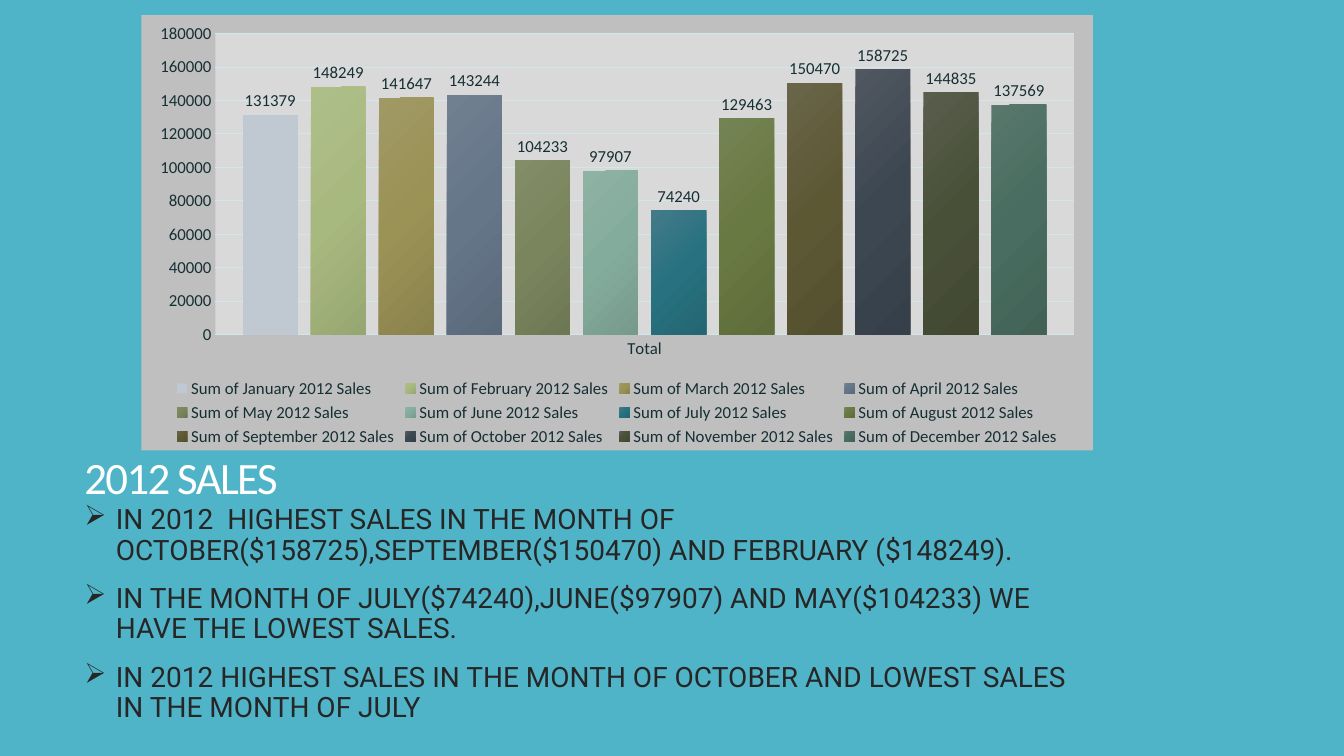
"""Builds the 2012 sales slide: a column chart of monthly sales, a title and three findings."""
from pptx import Presentation, util as u
from pptx.chart import data as chart_data
from pptx.dml.color import RGBColor
from pptx.enum import chart as ch, text
from pptx.oxml import parse_xml
from pptx.oxml.ns import nsdecls

TITLE = "2012 SALES"
FINDINGS = [
    "IN 2012  HIGHEST SALES IN THE MONTH OF OCTOBER($158725),SEPTEMBER($150470) AND FEBRUARY ($148249).",
    "IN THE MONTH OF JULY($74240),JUNE($97907) AND MAY($104233) WE HAVE THE LOWEST SALES.",
    "IN 2012 HIGHEST SALES IN THE MONTH OF OCTOBER AND LOWEST SALES IN THE MONTH OF JULY",
]
MONTHS = [
    ("January", 131379, ["C0C8D1"]),
    ("February", 148249, ["AEBE89", "A8B97F", "97A772"]),
    ("March", 141647, ["A19965", "9B9256", "8B834D"]),
    ("April", 143244, ["718091", "657689", "5B6A7B"]),
    ("May", 104233, ["838E69", "7A855D", "6E7754"]),
    ("June", 97907, ["8EB2A4", "84AC9D", "769B8D"]),
    ("July", 74240, ["437B89", "287180", "246673"]),
    ("August", 129463, ["748354", "697942", "5E6D3B"]),
    ("September", 150470, ["696549", "5D5834", "544F2E"]),
    ("October", 158725, ["505760", "3D4752", "36404A"]),
    ("November", 144835, ["595E4C", "495038", "424832"]),
    ("December", 137569, ["59776C", "496D60", "426256"]),
]
PLACES = {
    "title": (1.88, 11.35, 29.95, 2.67),
    "findings": (1.88, 12.62, 25.63, 5.26),
    "chart": (3.56, 0.38, 23.98, 10.97),
}
BACKGROUND = RGBColor(0x50, 0xB4, 0xC8)
WHITE = RGBColor(0xFF, 0xFF, 0xFF)
CHARCOAL = RGBColor(0x26, 0x26, 0x26)
DARK_TEAL = RGBColor(0x16, 0x2F, 0x33)
PALE_TEAL = RGBColor(0xD1, 0xE8, 0xEB)
CHART_GREY = RGBColor(0xBF, 0xBF, 0xBF)
PLOT_GREY = RGBColor(0xD9, 0xD9, 0xD9)
TITLE_FONT = {"size": u.Pt(32), "name": "Calibri"}
FINDING_FONT = {"size": u.Pt(20), "name": "Roboto"}
CHART_FONT = {"size": u.Pt(12), "name": "Calibri"}
FINDING_INDENT = u.Cm(0.79)


def apply(target, values):
    for name, value in values.items():
        setattr(target, name, value)


def style_font(font, values, color):
    apply(font, values)
    font.color.rgb = color


def place(part):
    return [u.Cm(length) for length in PLACES[part]]


def add_text(slide, part, lines, font, color, paragraph_format):
    frame = slide.shapes.add_textbox(*place(part)).text_frame
    apply(frame, {"word_wrap": True, "vertical_anchor": text.MSO_ANCHOR.TOP})
    frame.text = "\n".join(lines)
    for paragraph in frame.paragraphs:
        apply(paragraph, paragraph_format)
        style_font(paragraph.runs[0].font, font, color)
    return frame


def area_format(color):
    return parse_xml(
        f'<c:spPr {nsdecls("c", "a")}><a:solidFill><a:srgbClr val="{color}"/></a:solidFill>'
        "<a:ln><a:noFill/></a:ln></c:spPr>")


def fill_column(series, colors):
    if len(colors) == 1:
        series.format.fill.solid()
        series.format.fill.fore_color.rgb = RGBColor.from_string(colors[0])
        return
    step = 100000 // (len(colors) - 1)
    stops = "".join(f'<a:gs pos="{i * step}"><a:srgbClr val="{color}"/></a:gs>'
                    for i, color in enumerate(colors))
    series._element.get_or_add_spPr().append(parse_xml(
        f'<a:gradFill {nsdecls("a")} rotWithShape="1"><a:gsLst>{stops}</a:gsLst>'
        '<a:lin ang="2700000" scaled="0"/></a:gradFill>'))


def add_sales_chart(slide):
    sales = chart_data.CategoryChartData()
    sales.categories = ["Total"]
    for month, amount, _ in MONTHS:
        sales.add_series(f"Sum of {month} 2012 Sales", [amount])
    chart = slide.shapes.add_chart(ch.XL_CHART_TYPE.COLUMN_CLUSTERED, *place("chart"), sales).chart
    apply(chart, {"has_title": False, "has_legend": True})
    style_font(chart.font, CHART_FONT, DARK_TEAL)
    apply(chart.legend, {"position": ch.XL_LEGEND_POSITION.BOTTOM, "include_in_layout": False})

    columns = chart.plots[0]
    apply(columns, {"gap_width": 100, "overlap": -24, "vary_by_categories": False})
    for series, (_, _, colors) in zip(columns.series, MONTHS):
        fill_column(series, colors)
        apply(series.data_labels, {"show_value": True, "position": ch.XL_LABEL_POSITION.OUTSIDE_END})
        style_font(series.data_labels.font, CHART_FONT, DARK_TEAL)

    amounts, total = chart.value_axis, chart.category_axis
    for axis in (amounts, total):
        apply(axis, {"major_tick_mark": ch.XL_TICK_MARK.NONE, "minor_tick_mark": ch.XL_TICK_MARK.NONE})
        style_font(axis.tick_labels.font, CHART_FONT, DARK_TEAL)
    amounts.has_major_gridlines = True
    amounts.format.line.fill.background()
    for line in (total.format.line, amounts.major_gridlines.format.line):
        line.color.rgb = PALE_TEAL
        line.width = u.Pt(0.75)

    chart_space = chart._chartSpace
    chart_space.chart.addnext(area_format(CHART_GREY))
    chart_space.chart.plotArea.append(area_format(PLOT_GREY))


def main():
    deck = Presentation()
    apply(deck, {"slide_width": u.Cm(33.87), "slide_height": u.Cm(19.05)})
    slide = deck.slides.add_slide(deck.slide_layouts[6])
    slide.background.fill.solid()
    slide.background.fill.fore_color.rgb = BACKGROUND

    title = add_text(slide, "title", [TITLE], TITLE_FONT, WHITE, {"line_spacing": 0.85})
    title.margin_top = u.Cm(0.2)
    title.paragraphs[0].runs[0].font._element.set("spc", "-120")

    findings = add_text(slide, "findings", FINDINGS, FINDING_FONT, CHARCOAL,
                        {"line_spacing": 0.9, "space_before": u.Pt(13)})
    findings.paragraphs[0].space_before = u.Pt(0)
    for paragraph in findings.paragraphs:
        properties = paragraph._p.get_or_add_pPr()
        properties.set("marL", str(FINDING_INDENT))
        properties.set("indent", str(-FINDING_INDENT))
        properties.append(parse_xml(f'<a:buChar {nsdecls("a")} char="➢"/>'))

    add_sales_chart(slide)
    deck.save("out.pptx")


if __name__ == "__main__":
    main()
